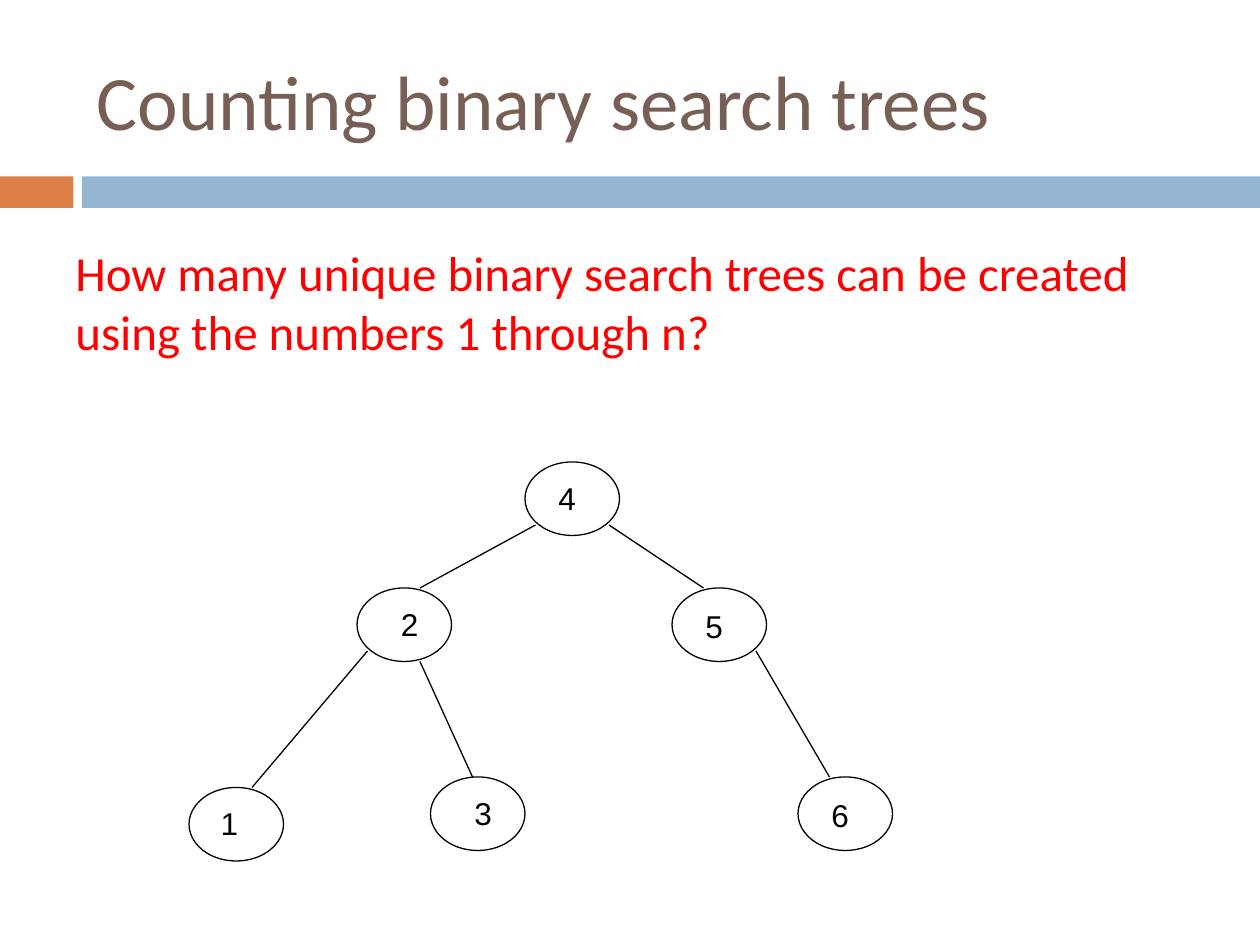
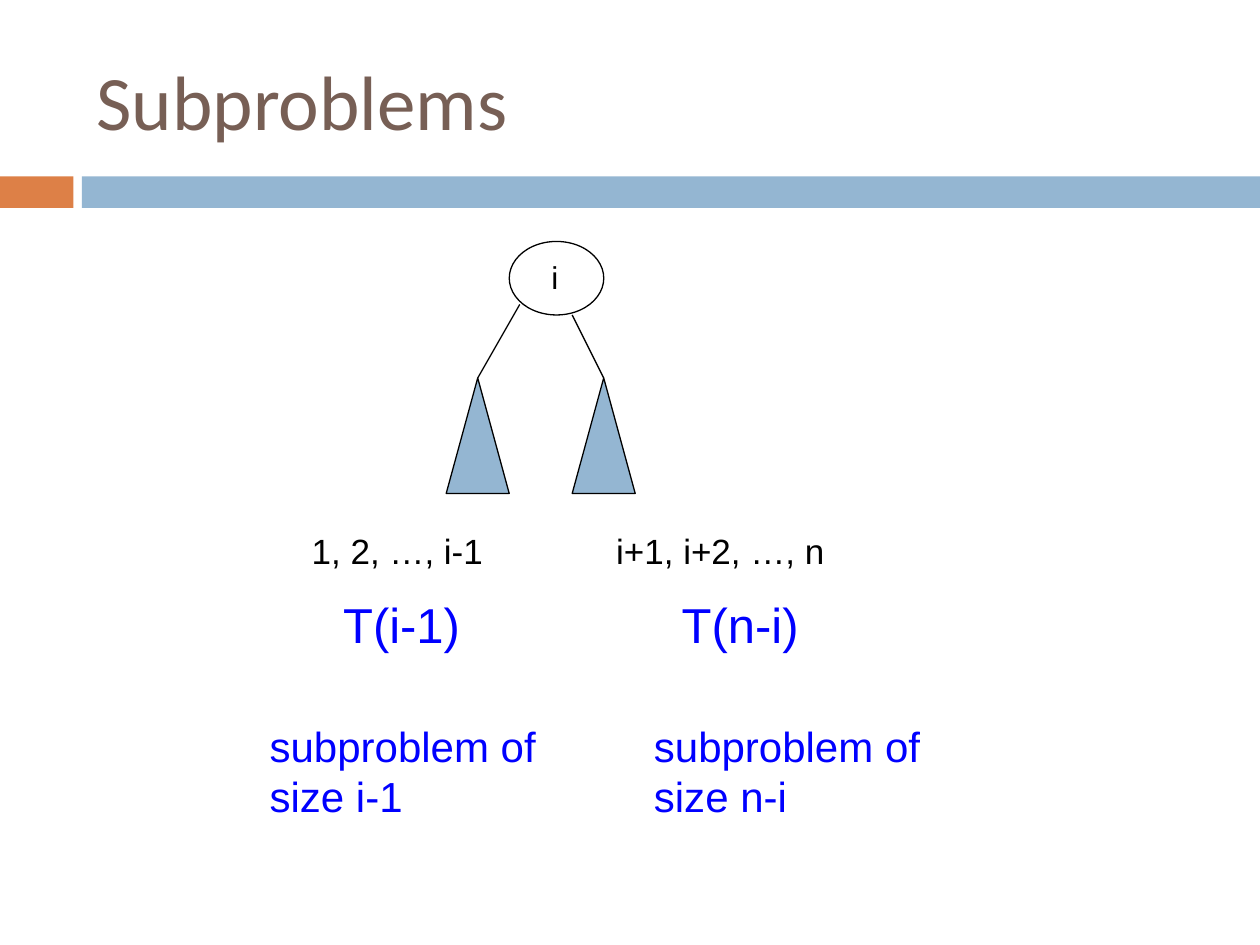
from pptx import Presentation
from pptx.dml.color import RGBColor
from pptx.enum.shapes import MSO_CONNECTOR, MSO_SHAPE
from pptx.enum.text import MSO_ANCHOR, MSO_AUTO_SIZE, PP_ALIGN
from pptx.oxml.ns import qn
from pptx.util import Inches, Pt
from lxml.etree import SubElement

BROWN = RGBColor(0x77, 0x5F, 0x55)
ORANGE = RGBColor(0xDD, 0x80, 0x47)
SKY = RGBColor(0x94, 0xB6, 0xD2)
RED = RGBColor(0xFF, 0, 0)
BLUE = RGBColor(0, 0, 0xFF)
BLACK = RGBColor(0, 0, 0)

COLS, ROWS = 120, 90
NODE = (9, 7)


class Deck:
    head, body = "Calibri", "Arial"

    def __init__(self):
        self.prs = Presentation()
        self.prs.slide_width = Inches(10)
        self.prs.slide_height = Inches(7.5)
        self.slide = None

    def place(self, *spans):
        sizes = (self.prs.slide_width / COLS, self.prs.slide_height / ROWS) * 2
        return [round(span * size) for span, size in zip(spans, sizes)]

    def page(self, title):
        self.slide = self.prs.slides.add_slide(self.prs.slide_layouts[5])
        self.band(0, 7, ORANGE)
        self.band(7.8, COLS - 7.8, SKY)
        box = self.slide.shapes.title
        box.left, box.top, box.width, box.height = self.place(8, 3, 107, 13)
        frame = box.text_frame
        frame.vertical_anchor = MSO_ANCHOR.MIDDLE
        self.letter(frame, title, 44, BROWN, self.head)

    def letter(self, frame, text, size, color, face):
        frame.word_wrap = True
        frame.auto_size = MSO_AUTO_SIZE.NONE
        para = frame.paragraphs[0]
        para.alignment = PP_ALIGN.LEFT
        run = para.add_run()
        run.text = text
        run.font.name = face
        run.font.size = Pt(size)
        run.font.color.rgb = color

    def label(self, spot, text, size=18, color=BLACK, face=body):
        box = self.slide.shapes.add_textbox(*self.place(*spot))
        self.letter(box.text_frame, text, size, color, face)

    def shape(self, kind, spot, fill=None, line=BLACK):
        item = self.slide.shapes.add_shape(kind, *self.place(*spot))
        item.shadow.inherit = False
        if fill is None:
            item.fill.background()
        else:
            item.fill.solid()
            item.fill.fore_color.rgb = fill
        if line is None:
            item.line.fill.background()
        else:
            item.line.color.rgb = line
            item.line.width = Pt(0.75)

    def band(self, left, width, fill):
        self.shape(MSO_SHAPE.RECTANGLE, (left, 16.8, width, 3), fill, None)

    def node(self, col, row, text, shift=2, drop=1):
        self.label((col + shift, row + drop, 8, 4.8), text)
        self.shape(MSO_SHAPE.OVAL, (col, row, *NODE))

    def edge(self, *ends):
        line = self.slide.shapes.add_connector(
            MSO_CONNECTOR.STRAIGHT, *self.place(*ends))
        line.line.color.rgb = BLACK
        line.line.width = Pt(0.75)
        SubElement(line._element.spPr, qn("a:effectLst"))


def count(deck):
    deck.page("Counting binary search trees")
    deck.label((6, 22.5, 108, 16.5),
               "How many unique binary search trees can be created "
               "using the numbers 1 through n?", 28, RED, deck.head)
    for node in ((50, 44, "4"), (34, 56, "2", 3), (18, 75, " 1", 1),
                 (41, 74, "3", 3), (64, 56, "5", 2, 1.2),
                 (76, 74, "6", 2, 1.2)):
        deck.node(*node)
    for ends in ((51, 50, 40, 56), (58, 50, 67, 56), (35, 62, 24, 75),
                 (40, 63, 45, 74), (72, 62, 79, 74)):
        deck.edge(*ends)


def split(deck):
    deck.page("Subproblems")
    deck.node(48.5, 23, " i")
    for left, start in ((42.5, (49.5, 29)), (54.5, (54.5, 30))):
        deck.edge(*start, left + 3, 36)
        deck.shape(MSO_SHAPE.ISOSCELES_TRIANGLE, (left, 36, 6, 11), SKY)
    sides = (
        ((28.5, 21, "1, 2, …, i-1"), (31.5, 14, "T(i-1)"),
         (24.5, 29, "subproblem of size i-1")),
        ((57.5, 26, "i+1, i+2, …, n"), (63.75, 17, "T(n-i)"),
         (61.1, 29, "subproblem of size n-i")),
    )
    rows = ((49.8, 5.2, 20, BLACK), (56, 6.8, 28, BLUE), (68, 10.9, 24, BLUE))
    for side in sides:
        for (left, width, text), (top, high, size, color) in zip(side, rows):
            deck.label((left, top, width, high), text, size, color)


def main():
    deck = Deck()
    count(deck)
    split(deck)
    deck.prs.save("out.pptx")


if __name__ == "__main__":
    main()
